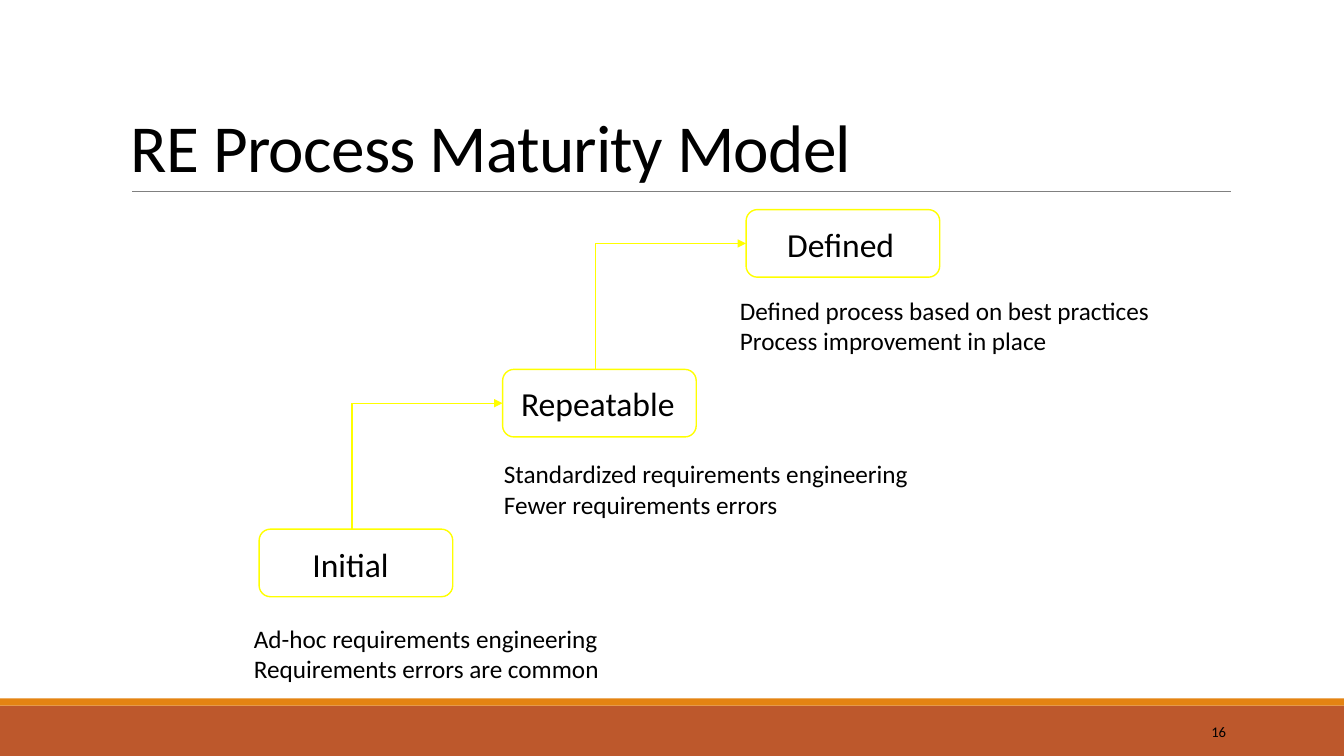
from dataclasses import dataclass

from lxml.etree import SubElement
from pptx import Presentation
from pptx.dml.color import RGBColor
from pptx.enum.shapes import MSO_CONNECTOR as CONN, MSO_SHAPE as SHAPE
from pptx.enum.text import MSO_ANCHOR as ANCHOR, MSO_AUTO_SIZE as AUTO, PP_ALIGN as ALIGN
from pptx.oxml.ns import qn
from pptx.util import Inches, Pt


@dataclass(frozen=True)
class Theme:
    font: str = "Calibri"
    text: str = "000000"
    step: str = "FFFF00"
    rule: str = "808080"
    footer: str = "BD582C"
    stripe: str = "E48312"
    title_size: float = 48
    label_size: float = 24
    note_size: float = 18
    number_size: float = 10.5


class SlideBuilder:
    def __init__(self, slide, theme):
        self.shapes = slide.shapes
        self.theme = theme

    def bar(self, x, y, w, h, color):
        sp = self.shapes.add_shape(SHAPE.RECTANGLE, *map(Inches, (x, y, w, h)))
        sp.shadow.inherit = False
        sp.fill.solid()
        sp.fill.fore_color.rgb = RGBColor.from_string(color)
        sp.line.fill.background()

    def step_box(self, x, y, w, h):
        sp = self.shapes.add_shape(SHAPE.ROUNDED_RECTANGLE, *map(Inches, (x, y, w, h)))
        sp.shadow.inherit = False
        sp.fill.background()
        sp.line.color.rgb = RGBColor.from_string(self.theme.step)
        sp.line.width = Pt(1)

    def line(self, start, end, color, width=1, arrow=False):
        cx = self.shapes.add_connector(CONN.STRAIGHT, *map(Inches, start + end))
        cx.line.color.rgb = RGBColor.from_string(color)
        cx.line.width = Pt(width)
        if arrow:
            SubElement(cx.line._get_or_add_ln(), qn("a:tailEnd"), type="triangle")
        SubElement(cx._element.spPr, qn("a:effectLst"))

    def text(self, x, y, w, h, lines, size, hanging=0, fit=True,
             anchor=ANCHOR.TOP, align=ALIGN.LEFT, line_spacing=None, tracking=None):
        """Add a text box; hanging is in inches, tracking in hundredths of a point."""
        box = self.shapes.add_textbox(*map(Inches, (x, y, w, h)))
        tf = box.text_frame
        tf.word_wrap = not fit
        tf.auto_size = AUTO.SHAPE_TO_FIT_TEXT if fit else AUTO.NONE
        tf.vertical_anchor = anchor
        for i, line in enumerate(lines):
            p = tf.add_paragraph() if i else tf.paragraphs[0]
            p.alignment = align
            if line_spacing:
                p.line_spacing = line_spacing
            if hanging:
                pPr = p._p.get_or_add_pPr()
                pPr.set("marL", str(Inches(hanging)))
                pPr.set("indent", str(-Inches(hanging)))
            r = p.add_run()
            r.text = line
            r.font.name = self.theme.font
            r.font.size = Pt(size)
            r.font.color.rgb = RGBColor.from_string(self.theme.text)
            if tracking:
                r._r.get_or_add_rPr().set("spc", str(tracking))


BOX_W, BOX_H = 1.92, 0.67
FIRST_X, FIRST_Y = 2.57, 5.25
STEP_X, STEP_Y = 2.415, 1.585

# label, its place and width, then notes with their place and width
LEVELS = [
    ("Initial", (3, 5.35, 0.99),
     ["Ad-hoc requirements engineering", "Requirements errors are common"],
     (2.42, 6.13, 3.66)),
    ("Repeatable", (5.07, 3.75, 1.74),
     ["Standardized requirements engineering", "Fewer requirements errors"],
     (4.9, 4.5, 4.26)),
    ("Defined", (7.71, 2.17, 1.27),
     ["Defined process based on best practices", "Process improvement in place"],
     (7.24, 2.88, 4.31)),
]


def main():
    prs = Presentation()
    prs.slide_width, prs.slide_height = Inches(13.33), Inches(7.5)
    theme = Theme()
    s = SlideBuilder(prs.slides.add_slide(prs.slide_layouts[6]), theme)

    s.bar(0, 7, 13.33, 0.5, theme.footer)
    s.bar(0, 6.93, 13.33, 0.07, theme.stripe)
    s.line((1.31, 1.9), (12.21, 1.9), theme.rule, 0.5)
    s.text(1.2, 0.31, 11, 1.59, ["RE Process Maturity Model"], theme.title_size,
           fit=False, anchor=ANCHOR.BOTTOM, line_spacing=0.85, tracking=-50)
    s.text(10.83, 7.06, 1.43, 0.4, ["16"], theme.number_size,
           fit=False, anchor=ANCHOR.MIDDLE, align=ALIGN.RIGHT)

    for i, (label, label_at, notes, notes_at) in enumerate(LEVELS):
        x, y = FIRST_X + i * STEP_X, FIRST_Y - i * STEP_Y
        s.step_box(x, y, BOX_W, BOX_H)
        if i < len(LEVELS) - 1:
            corner = (x + 0.92, y + BOX_H / 2 - STEP_Y)
            s.line((corner[0], y), corner, theme.step)
            s.line(corner, (x + STEP_X, corner[1]), theme.step, arrow=True)
        s.text(*notes_at, 0.71, notes, theme.note_size, hanging=0.5)
        s.text(*label_at, 0.5, [label], theme.label_size)

    prs.save("out.pptx")


if __name__ == "__main__":
    main()
